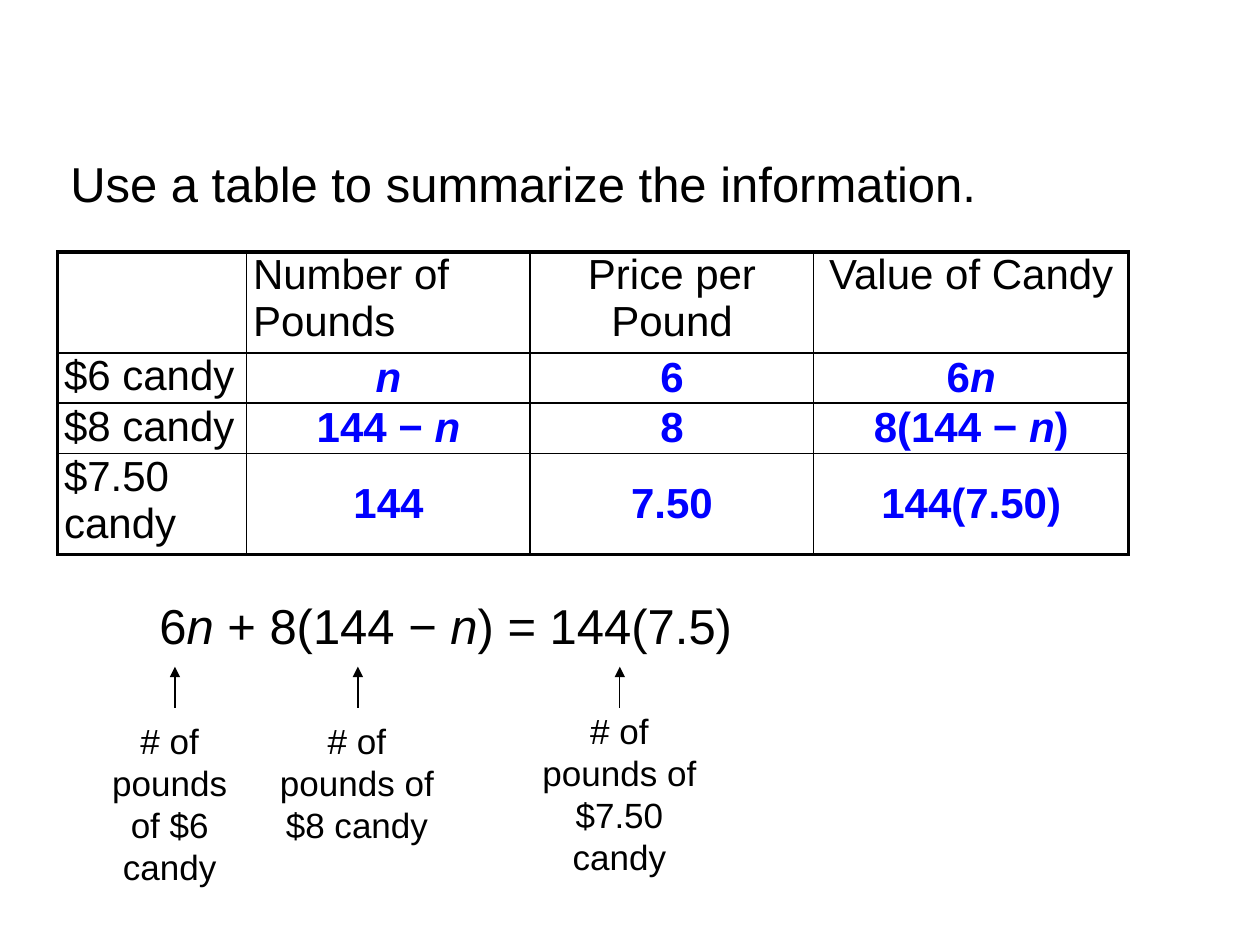
"""Build a slide that sums up a candy mixture problem in a table and an equation."""
from typing import NamedTuple

from lxml.etree import SubElement
from pptx import Presentation
from pptx.dml.color import RGBColor
from pptx.enum.shapes import MSO_CONNECTOR as CONN
from pptx.enum.text import MSO_ANCHOR as ANCHOR, MSO_AUTO_SIZE as FIT, PP_ALIGN as ALIGN
from pptx.oxml import parse_xml
from pptx.oxml.ns import nsdecls, qn
from pptx.util import Pt

BLACK, BLUE = "000000", "0000FF"
ARROW_TOP, ARROW_BOTTOM = 381, 404.5
COLS = (108, 162, 162, 180)
ROWS = (57.6, 28.8, 28.8, 57.6)
CELLS = (
    ((), ("Number of Pounds",), ("Price per Pound",), ("Value of Candy",)),
    (("$6 candy",), ("n",), ("6",), ("6", "n")),
    (("$8 candy",), ("144 − ", "n"), ("8",), ("8(144 − ", "n", ")")),
    (("$7.50 candy",), ("144",), ("7.50",), ("144(7.50)",)),
)


class Callout(NamedTuple):
    text: str
    left: float
    top: float
    width: float
    height: float
    arrow_x: float


CALLOUTS = (
    Callout("# of pounds of $6 candy", 48, 407.5, 98, 104.4, 100),
    Callout("# of pounds of $8 candy", 150, 407.5, 108, 79.2, 204.5),
    Callout("# of pounds of $7.50 candy", 300, 401.8, 108, 103, 354.2),
)


def rgb(color: str) -> RGBColor:
    return RGBColor.from_string(color)


def add_runs(p, runs: tuple, size: float, color: str = BLACK, bold: bool = False) -> None:
    for text in runs:
        r = p.add_run()
        r.text = text
        r.font.name, r.font.size = "Arial", Pt(size)
        r.font.bold, r.font.italic = bold, text == "n"
        r.font.color.rgb = rgb(color)


def add_text(shapes, box: tuple, runs: tuple, size: float, align=ALIGN.LEFT) -> None:
    tf = shapes.add_textbox(*map(Pt, box)).text_frame
    tf.word_wrap = True
    p = tf.paragraphs[0]
    p.alignment = align
    add_runs(p, runs, size)


def add_title(s, text: str) -> None:
    sp = s.shapes.title
    sp.left, sp.top, sp.width, sp.height = Pt(33), Pt(84), Pt(534), Pt(41)
    tf = sp.text_frame
    tf.word_wrap, tf.auto_size, tf.vertical_anchor = True, FIT.NONE, ANCHOR.TOP
    p = tf.paragraphs[0]
    p.alignment, p.line_spacing = ALIGN.LEFT, 1.0
    add_runs(p, (text,), 28)


def set_borders(cell, widths: dict) -> None:
    tc_pr = cell._tc.get_or_add_tcPr()
    for i, (side, width) in enumerate(widths.items()):
        tc_pr.insert(i, parse_xml(
            f'<a:ln{side} {nsdecls("a")} w="{int(Pt(width))}"><a:solidFill>'
            f'<a:srgbClr val="{BLACK}"/></a:solidFill></a:ln{side}>'))


def add_table(s) -> None:
    table = s.shapes.add_table(len(ROWS), len(COLS), Pt(33), Pt(144),
                               Pt(sum(COLS)), Pt(sum(ROWS))).table
    table.first_row = table.horz_banding = False
    for col, width in zip(table.columns, COLS):
        col.width = Pt(width)
    for row, height in zip(table.rows, ROWS):
        row.height = Pt(height)
    for i, row in enumerate(CELLS):
        for j, runs in enumerate(row):
            cell = table.cell(i, j)
            value = i > 0 and j > 0
            cell.margin_left = cell.margin_right = Pt(3.6)
            cell.margin_top = cell.margin_bottom = Pt(0)
            cell.vertical_anchor = ANCHOR.MIDDLE if value else ANCHOR.TOP
            cell.fill.background()
            outer = {"L": j == 0, "R": j == len(COLS) - 1,
                     "T": i == 0, "B": i == len(ROWS) - 1}
            set_borders(cell, {side: 2.25 if edge else 1 for side, edge in outer.items()})
            p = cell.text_frame.paragraphs[0]
            p.alignment = ALIGN.CENTER if value or j > 1 else ALIGN.LEFT
            add_runs(p, runs, 24, BLUE if value else BLACK, value)


def add_callout(s, c: Callout) -> None:
    shapes = s.shapes.add_group_shape().shapes
    add_text(shapes, (c.left, c.top, c.width, c.height), (c.text,), 20, ALIGN.CENTER)
    arrow = shapes.add_connector(CONN.STRAIGHT, Pt(c.arrow_x), Pt(ARROW_TOP),
                                 Pt(c.arrow_x), Pt(ARROW_BOTTOM))
    arrow.line.color.rgb, arrow.line.width = rgb(BLACK), Pt(0.75)
    sp_pr = arrow._element.spPr
    SubElement(sp_pr.find(qn("a:ln")), qn("a:headEnd"), type="triangle")
    SubElement(sp_pr, qn("a:effectLst"))


def main() -> None:
    prs = Presentation()
    prs.slide_width, prs.slide_height = Pt(720), Pt(540)
    s = prs.slides.add_slide(prs.slide_layouts[5])
    add_title(s, "Use a table to summarize the information.")
    add_table(s)
    add_text(s.shapes, (84, 337, 468, 41),
             ("6", "n", " + 8(144 − ", "n", ") = 144(7.5)"), 28)
    for callout in CALLOUTS:
        add_callout(s, callout)
    prs.save("out.pptx")


if __name__ == "__main__":
    main()
